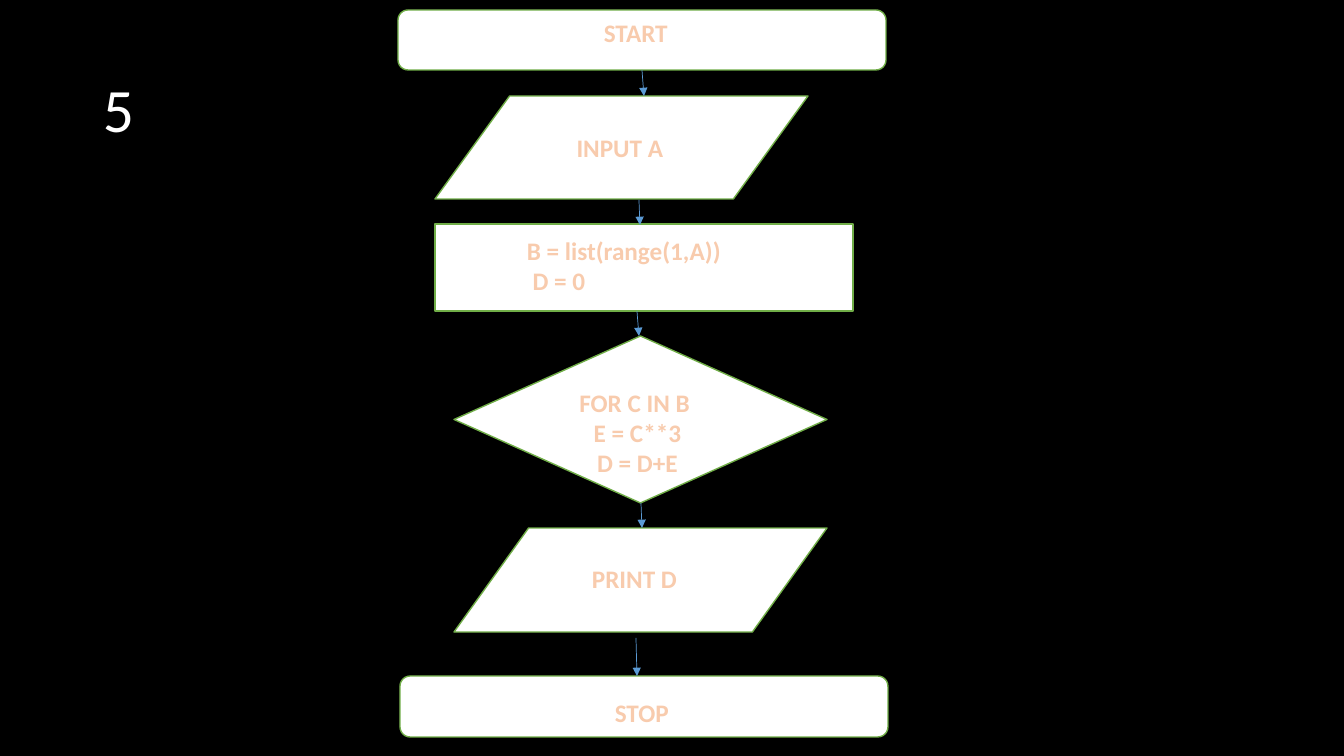
from dataclasses import dataclass

from lxml import etree
from pptx import Presentation
from pptx import util as u
from pptx.dml.color import RGBColor
from pptx.enum import shapes, text
from pptx.oxml.ns import qn

EMU_PER_PIXEL = 914400 / 100.8


@dataclass(frozen=True)
class Theme:
    """Colours, font and type sizes of the slide."""
    background: str = "000000"
    paper: str = "FFFFFF"
    border: str = "70AD47"
    arrow: str = "5B9BD5"
    label: str = "F8CBAD"
    label_outline: str = "ED7D31"
    font: str = "Calibri"
    number_size: int = 44
    label_size: int = 18


THEME = Theme()


def px(*lengths):
    """Turn whole pixels into EMU."""
    return [u.Emu(round(length * EMU_PER_PIXEL)) for length in lengths]


def rgb(code):
    """Turn a hex code into a colour."""
    return RGBColor.from_string(code)


def style_run(run, size, colour, bold=False):
    """Give a run its font, size and colour."""
    run.font.name, run.font.size, run.font.bold = THEME.font, u.Pt(size), bold
    run.font.color.rgb = rgb(colour)


def outline_run(run):
    """Draw the letter outline of a flowchart label."""
    outline = etree.Element(qn("a:ln"), w=str(u.Pt(1.75)))
    fill = etree.SubElement(outline, qn("a:solidFill"))
    etree.SubElement(fill, qn("a:srgbClr"), val=THEME.label_outline)
    run.font._element.insert(0, outline)


def write_label(frame, lines, align=text.PP_ALIGN.LEFT):
    """Write flowchart wording, one paragraph a line."""
    frame.text = "\n".join(lines)
    for paragraph in frame.paragraphs:
        paragraph.alignment = align
        for run in paragraph.runs:
            style_run(run, THEME.label_size, THEME.label, bold=True)
            outline_run(run)


def add_step(slide, kind, box):
    """Add one white flowchart shape with a green border."""
    step = slide.shapes.add_shape(kind, *px(*box))
    step.shadow.inherit = False
    step.fill.solid()
    step.fill.fore_color.rgb = rgb(THEME.paper)
    step.line.color.rgb = rgb(THEME.border)
    step.line.width = u.Pt(1)
    return step


def add_label(slide, box, lines, wrap=False, align=text.PP_ALIGN.LEFT):
    """Add a text box that carries the wording of a step."""
    frame = slide.shapes.add_textbox(*px(*box)).text_frame
    frame.word_wrap = wrap
    frame.auto_size = text.MSO_AUTO_SIZE.SHAPE_TO_FIT_TEXT
    write_label(frame, lines, align)


def add_arrow(slide, start, end):
    """Add a thin arrow between two steps."""
    arrow = slide.shapes.add_connector(
        shapes.MSO_CONNECTOR.STRAIGHT, *px(*start, *end))
    arrow.line.color.rgb = rgb(THEME.arrow)
    arrow.line.width = u.Pt(0.5)
    etree.SubElement(arrow.line._get_or_add_ln(), qn("a:tailEnd"), type="triangle")
    etree.SubElement(arrow._element.spPr, qn("a:effectLst"))


def add_number(slide, box, number):
    """Add the large exercise number."""
    frame = slide.shapes.add_textbox(*px(*box)).text_frame
    frame.word_wrap = True
    frame.vertical_anchor = text.MSO_ANCHOR.MIDDLE
    frame.text = number
    frame.paragraphs[0].line_spacing = 0.9
    style_run(frame.paragraphs[0].runs[0], THEME.number_size, THEME.paper)


def main():
    """Build the flowchart slide."""
    deck = Presentation()
    deck.slide_width, deck.slide_height = px(1344, 756)
    slide = deck.slides.add_slide(deck.slide_layouts[6])
    slide.background.fill.solid()
    slide.background.fill.fore_color.rgb = rgb(THEME.background)

    add_number(slide, (93, 40, 75, 146), "5")

    kinds = shapes.MSO_SHAPE
    input_step = add_step(slide, kinds.FLOWCHART_DATA, (435, 96, 373, 103))
    input_step.text_frame.margin_left = px(67)[0]
    write_label(input_step.text_frame, ["INPUT A"])
    for kind, box in (
        (kinds.FLOWCHART_ALTERNATE_PROCESS, (398, 10, 488, 60)),
        (kinds.RECTANGLE, (435, 224, 418, 87)),
        (kinds.FLOWCHART_DECISION, (454, 336, 373, 167)),
        (kinds.FLOWCHART_DATA, (454, 528, 373, 104)),
        (kinds.FLOWCHART_ALTERNATE_PROCESS, (400, 676, 488, 61)),
    ):
        add_step(slide, kind, box)

    for start, end in (
        ((642, 70), (644, 96)),
        ((639, 200), (640, 225)),
        ((637, 311), (639, 336)),
        ((641, 503), (642, 528)),
        ((636, 638), (637, 676)),
    ):
        add_arrow(slide, start, end)

    add_label(slide, (594, 12, 85, 40), ["START"])
    add_label(slide, (605, 692, 75, 40), ["STOP"])
    add_label(slide, (517, 230, 672, 71), ["B = list(range(1,A))", " D = 0"], wrap=True)
    add_label(slide, (379, 382, 517, 102), ["FOR C IN B ", "E = C**3", "D = D+E"],
              wrap=True, align=text.PP_ALIGN.CENTER)
    add_label(slide, (582, 558, 106, 40), ["PRINT D"])

    deck.save("out.pptx")


main()
